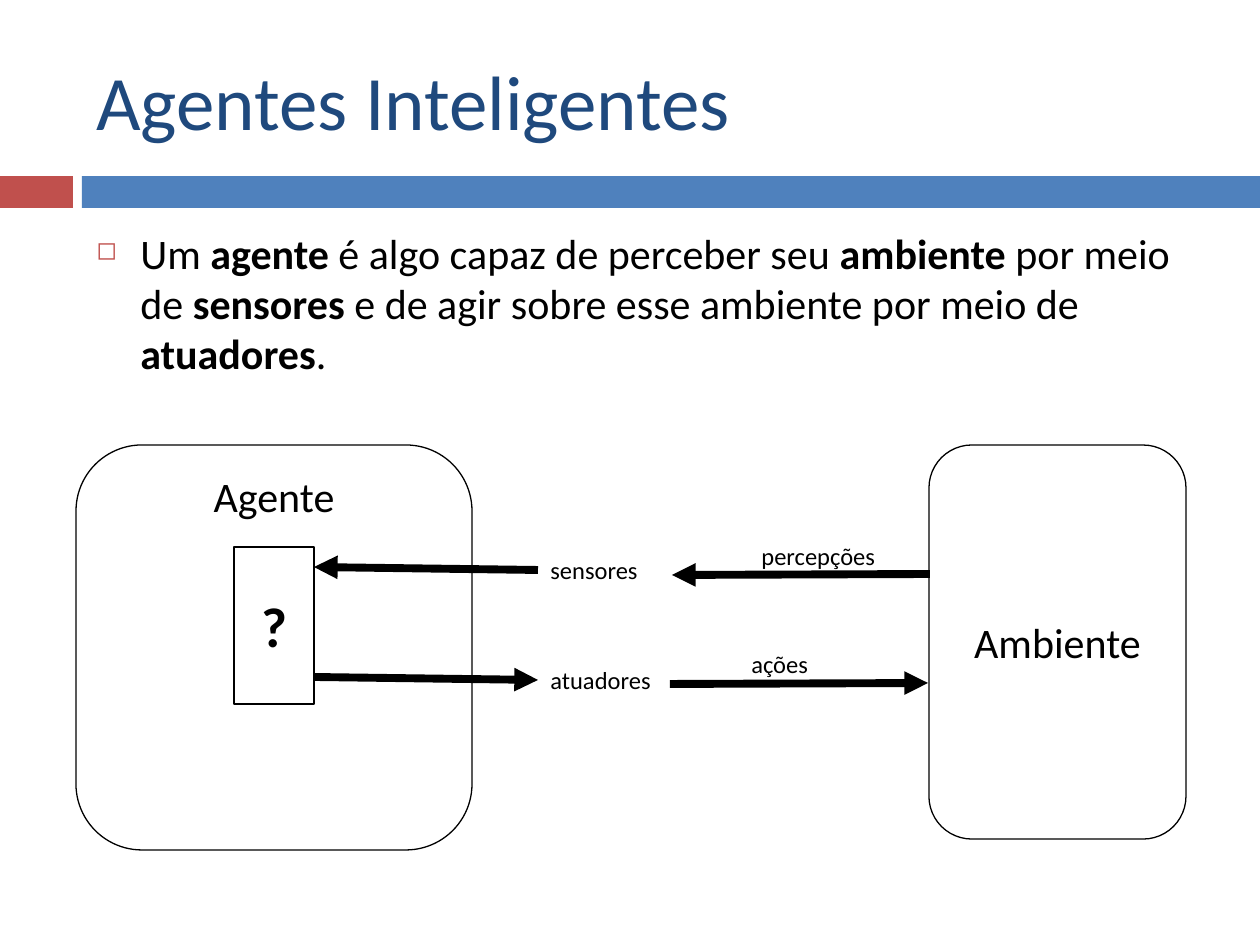
import pptx
import pptx.dml.color
import pptx.enum.shapes
import pptx.enum.text
import pptx.oxml
import pptx.oxml.ns
import pptx.util

PX = 914400 / 126
BLACK = pptx.dml.color.RGBColor(0x00, 0x00, 0x00)
NAVY = pptx.dml.color.RGBColor(0x1F, 0x49, 0x7D)
BLUE = pptx.dml.color.RGBColor(0x4F, 0x81, 0xBD)
RED = pptx.dml.color.RGBColor(0xC0, 0x50, 0x4D)
RECTANGLE = pptx.enum.shapes.MSO_SHAPE.RECTANGLE
ROUNDED = pptx.enum.shapes.MSO_SHAPE.ROUNDED_RECTANGLE
TOP = pptx.enum.text.MSO_ANCHOR.TOP
MIDDLE = pptx.enum.text.MSO_ANCHOR.MIDDLE
LEFT = pptx.enum.text.PP_ALIGN.LEFT
CENTER = pptx.enum.text.PP_ALIGN.CENTER


def emu(*lengths):
    """Turn px lengths into EMU."""
    return [pptx.util.Emu(round(length * PX)) for length in lengths]


def write(shape, runs, size, color=BLACK, anchor=TOP, align=LEFT):
    """Fill the shape with one paragraph of (text, bold) runs and return it."""
    frame = shape.text_frame
    frame.word_wrap = True
    frame.vertical_anchor = anchor
    paragraph = frame.paragraphs[0]
    paragraph.alignment = align
    font_values = {"name": "Calibri", "size": pptx.util.Pt(size)}
    for text, bold in runs:
        run = paragraph.add_run()
        run.text = text
        for name, value in {**font_values, "bold": bold}.items():
            setattr(run.font, name, value)
        run.font.color.rgb = color
    return paragraph


presentation = pptx.Presentation()
presentation.slide_width, presentation.slide_height = emu(1260, 945)
slide = presentation.slides.add_slide(presentation.slide_layouts[6])
shapes = slide.shapes

# Band under the title
for left, width, color in [(0, 73, RED), (82, 1178, BLUE)]:
    band = shapes.add_shape(RECTANGLE, *emu(left, 176, width, 32))
    band.shadow.inherit = False
    band.fill.solid()
    band.fill.fore_color.rgb = color
    band.line.fill.background()

# Title and definition
title = shapes.add_textbox(*emu(84, 32, 1124, 136))
write(title, [("Agentes Inteligentes", False)], 44, NAVY, MIDDLE)

definition = shapes.add_textbox(*emu(84, 221, 1124, 620))
paragraph = write(definition, [
    ("Um ", False), ("agente", True),
    (" é algo capaz de perceber seu ", False), ("ambiente", True),
    (" por meio de ", False), ("sensores", True),
    (" e de agir sobre esse ambiente por meio de ", False),
    ("atuadores", True), (".", False),
], 24)
paragraph.space_before = pptx.util.Pt(7)
properties = paragraph._p.get_or_add_pPr()
indent = emu(44)[0]
properties.set("marL", str(indent))
properties.set("indent", str(-indent))
namespace = pptx.oxml.ns.nsdecls("a")
for bullet in [
    f'<a:buClr {namespace}><a:srgbClr val="{RED}"/></a:buClr>',
    f'<a:buSzPct {namespace} val="60000"/>',
    f'<a:buChar {namespace} char="◻"/>',
]:
    properties.append(pptx.oxml.parse_xml(bullet))

# Agent, environment and the unknown inside the agent
for kind, box, text, size, bold, anchor in [
    (ROUNDED, (76, 445, 396, 405), "Agente", 24, False, TOP),
    (ROUNDED, (929, 445, 257, 394), "Ambiente", 24, False, MIDDLE),
    (RECTANGLE, (234, 547, 80, 157), "?", 32, True, MIDDLE),
]:
    shape = shapes.add_shape(kind, *emu(*box))
    shape.shadow.inherit = False
    shape.fill.background()
    shape.line.color.rgb = BLACK
    shape.line.width = pptx.util.Pt(0.75)
    write(shape, [(text, bold)], size, anchor=anchor, align=CENTER)

# Arrows, each from its start to its tip
for arrow_ends in [
    (930, 574, 672, 575),
    (538, 570, 314, 567),
    (314, 677, 538, 680),
    (670, 684, 928, 683),
]:
    arrow = shapes.add_connector(
        pptx.enum.shapes.MSO_CONNECTOR.STRAIGHT, *emu(*arrow_ends))
    arrow.line.color.rgb = BLACK
    arrow.line.width = pptx.util.Pt(4.5)
    arrow.line._get_or_add_ln().append(
        pptx.oxml.parse_xml(f'<a:tailEnd {namespace} type="triangle"/>'))
    arrow._element.spPr.append(
        pptx.oxml.parse_xml(f"<a:effectLst {namespace}/>"))

# Labels of the arrows
for left, top, width, text in [
    (538, 549, 131, "sensores"),
    (538, 659, 131, "atuadores"),
    (749, 535, 159, "percepções"),
    (739, 643, 139, "ações"),
]:
    label = shapes.add_textbox(*emu(left, top, width, 43))
    write(label, [(text, False)], 14)

presentation.save("out.pptx")
